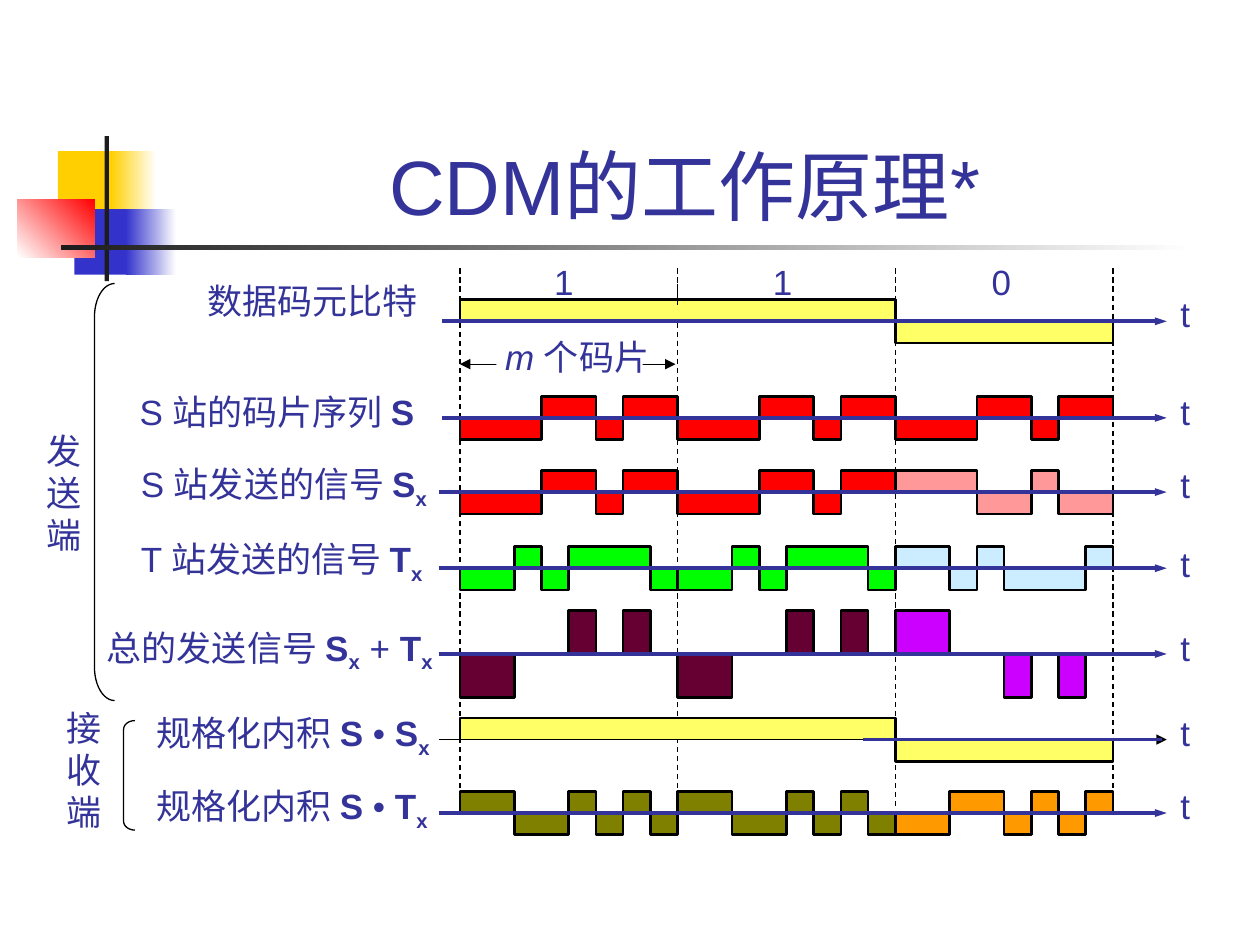
from dataclasses import dataclass
from itertools import groupby

from lxml.etree import SubElement
from pptx import Presentation
from pptx.dml.color import RGBColor as RGB
from pptx.enum.dml import MSO_LINE as Dash
from pptx.enum.shapes import MSO_CONNECTOR as Link, MSO_SHAPE as Shape
from pptx.enum.text import MSO_ANCHOR as Anchor, MSO_AUTO_SIZE as Fit, PP_ALIGN as Align
from pptx.oxml.ns import qn
from pptx.util import Pt


@dataclass(frozen=True)
class Theme:
    ink: str = "333399"
    black: str = "000000"
    white: str = "FFFFFF"
    dark: str = "1C1C1C"
    gold: str = "FFCF01"
    blue: str = "3333CC"
    red: str = "FF0000"
    pink: str = "FF9999"
    green: str = "00FF00"
    sky: str = "CCECFF"
    plum: str = "660033"
    violet: str = "CC00FF"
    olive: str = "808000"
    orange: str = "FF9900"
    yellow: str = "FFFF66"
    latin: str = "Arial"
    cjk: str = "Times New Roman"
    title: int = 44
    body: int = 20
    thin: float = 0.75
    edge: float = 1.5
    thick: float = 2.25


T = Theme()

TITLE = "CDM的工作原理* "
BITS = [1, 1, 0]
S_CHIPS = [-1, -1, -1, 1, 1, -1, 1, 1]
T_CHIPS = [-1, -1, 1, -1, 1, 1, 1, -1]
SUM_CHIPS = [s + t for s, t in zip(S_CHIPS, T_CHIPS)]
PRODUCT_CHIPS = [s * t for s, t in zip(S_CHIPS, T_CHIPS)]
SIGNS = [1 if bit else -1 for bit in BITS]
DATA_LEVELS = [sign for sign in SIGNS for _ in S_CHIPS]


def keyed(chips, colors):
    return [(i, [SIGNS[i] * chip for chip in chips], color) for i, color in enumerate(colors)]


DATA_WAVE = [(0, DATA_LEVELS, T.yellow)]
ROWS = [
    dict(label=[("数据码元比特", "c")], at=(111.6, 156.2, 140, 31.7), t_top=163.4,
         axis=183.6, start=252.7, waves=DATA_WAVE),
    dict(label=[("S ", ""), ("站的码片序列 ", "c"), ("S", "b")], at=(72.7, 223.2, 186, 28.1),
         spacing=0.85, t_top=219.6, axis=238.8, start=252.7,
         waves=[(i, S_CHIPS, T.red) for i in range(len(BITS))]),
    dict(label=[("S ", ""), ("站发送的信号 ", "c"), ("S", "b"), ("x", "bx")],
         at=(73.4, 260.6, 193, 34.6), t_top=261.4, axis=281.2, start=250.6,
         waves=keyed(S_CHIPS, [T.red, T.red, T.pink])),
    dict(label=[("T ", ""), ("站发送的信号 ", "c"), ("T", "b"), ("x", "bx")],
         at=(73.4, 303.8, 190, 34.6), t_top=306.7, axis=324.7, start=250.6,
         waves=keyed(T_CHIPS, [T.green, T.green, T.sky])),
    dict(label=[("总的发送信号 ", "c"), ("S", "b"), ("x", "bx"), (" + ", ""), ("T", "b"), ("x", "bx")],
         at=(54, 354.2, 210, 34.6), t_top=354.2, axis=373.7, start=250.6,
         waves=keyed(SUM_CHIPS, [T.plum, T.plum, T.violet])),
    dict(label=[("规格化内积 ", "c"), ("S ", "b"), ("• ", ""), ("S", "b"), ("x", "bx")],
         at=(82.4, 403.2, 180, 34.6), t_top=403.2, axis=422.6, start=250.6,
         axis_line=(T.black, T.thin), waves=DATA_WAVE),
    dict(label=[("规格化内积 ", "c"), ("S ", "b"), ("• ", ""), ("T", "b"), ("x", "bx")],
         at=(82.4, 445, 180, 34.6), t_top=445, axis=464.6, start=250.6,
         waves=keyed(PRODUCT_CHIPS, [T.olive, T.olive, T.orange])),
]
SIDES = [
    dict(word="发送端", at=(19.4, 241.9, 34.6, 79.2), bracket=(54, 162, 11.5, 238.3)),
    dict(word="接收端", at=(31, 400.3, 34.6, 79.2), bracket=(70.6, 411.8, 6.5, 62.6)),
]
ORNAMENTS = [
    ((33.1, 86.4, 34.6, 37.4), [T.gold], 0),
    ((63.4, 86.4, 25.9, 37.4), [T.gold, T.white], 0),
    ((42.5, 119.5, 33.1, 37.4), [T.blue], 0),
    ((72, 119.5, 28.8, 37.4), [T.blue, T.white], 0),
    ((10.1, 113.8, 43.9, 33.1), [T.white, T.red], 45),
    ((59.8, 77.8, 2.4, 82.8), [T.dark], 0),
    ((34.6, 140.2, 648, 2.5), [T.dark, T.white], 0),
]

LEFT, BIT_WIDTH, LEVEL = 262.8, 124.4, 12.4
CHIP = BIT_WIDTH / len(S_CHIPS)
AXIS_END, DASH_TOP = 666.7, 153.4
DASH_ENDS = [452.2, 450.7, 462.2, 451.4]

deck = Presentation()
deck.slide_width, deck.slide_height = Pt(720), Pt(540)
shapes = deck.slides.add_slide(deck.slide_layouts[6]).shapes


def points(values):
    return [Pt(value) for value in values]


def write(paragraphs, at, size=T.body, align=Align.LEFT, anchor=Anchor.TOP, wrap=False, spacing=None):
    frame = shapes.add_textbox(*points(at)).text_frame
    frame.word_wrap, frame.vertical_anchor = wrap, anchor
    frame.auto_size = Fit.NONE if wrap else Fit.SHAPE_TO_FIT_TEXT
    for i, runs in enumerate(paragraphs):
        paragraph = frame.add_paragraph() if i else frame.paragraphs[0]
        paragraph.alignment, paragraph.line_spacing = align, spacing
        for words, style in runs:
            run = paragraph.add_run()
            run.text = words
            font = run.font
            font.name = T.cjk if "c" in style else T.latin
            font.size, font.color.rgb = Pt(size), RGB.from_string(T.ink)
            font.bold, font.italic = "b" in style, "i" in style
            if "x" in style:
                run._r.get_or_add_rPr().set("baseline", "-25000")


def rule(start, end, color=T.black, width=T.thin, dash=None, **arrows):
    link = shapes.add_connector(Link.STRAIGHT, *points(start + end))
    line = link.line
    line.color.rgb, line.width, line.dash_style = RGB.from_string(color), Pt(width), dash
    outline = line._get_or_add_ln()
    for end_name in ("headEnd", "tailEnd"):
        if end_name in arrows:
            SubElement(outline, qn(f"a:{end_name}"), type="triangle", w=arrows[end_name], len="med")
    SubElement(link._element.spPr, qn("a:effectLst"))


def block(at, colors, angle=0):
    shape = shapes.add_shape(Shape.RECTANGLE, *points(at))
    shape.shadow.inherit = False
    shape.line.fill.background()
    if len(colors) == 1:
        shape.fill.solid()
        shape.fill.fore_color.rgb = RGB.from_string(colors[0])
        return
    shape.fill.gradient()
    shape.fill.gradient_angle = angle
    for stop, color in zip(shape.fill.gradient_stops, colors):
        stop.color.rgb = RGB.from_string(color)


def wave(axis, first_bit, levels, color):
    x = LEFT + first_bit * BIT_WIDTH
    builder = shapes.build_freeform(Pt(x), Pt(axis))
    corners = []
    for level, run in groupby(levels):
        y = axis - level * LEVEL
        corners.append((Pt(x), Pt(y)))
        x += len(list(run)) * CHIP
        corners.append((Pt(x), Pt(y)))
    builder.add_line_segments(corners + [(Pt(x), Pt(axis))], close=False)
    shape = builder.convert_to_shape()
    shape.shadow.inherit = False
    shape.fill.solid()
    shape.fill.fore_color.rgb = RGB.from_string(color)
    shape.line.color.rgb, shape.line.width = RGB.from_string(T.black), Pt(T.edge)


def bracket(at):
    shape = shapes.add_shape(Shape.LEFT_BRACKET, *points(at))
    shape.shadow.inherit = False
    shape.adjustments[0] = min(1.7, 0.08 * at[3] / at[2])
    shape.fill.background()
    shape.line.color.rgb, shape.line.width = RGB.from_string(T.black), Pt(T.thin)


for at, colors, angle in ORNAMENTS:
    block(at, colors, angle)
write([[(TITLE, "")]], (90.7, 20.2, 613.4, 115.2), size=T.title,
      align=Align.CENTER, anchor=Anchor.BOTTOM, wrap=True)

for i, bottom in enumerate(DASH_ENDS):
    x = LEFT + i * BIT_WIDTH
    rule((x, DASH_TOP), (x, bottom), dash=Dash.DASH)

rule((LEFT, 208.1), (LEFT + BIT_WIDTH - 1.2, 208.1), headEnd="med", tailEnd="med")
block((283.7, 195.8, 83.5, 21.6), [T.white])
write([[("m ", "i"), ("个码片", "c")]], (281.5, 187.9, 101.5, 31.7))

for row in ROWS:
    for first_bit, levels, color in row["waves"]:
        wave(row["axis"], first_bit, levels, color)
    color, width = row.get("axis_line", (T.ink, T.thick))
    rule((row["start"], row["axis"]), (AXIS_END, row["axis"]), color, width,
         tailEnd="sm" if width == T.thick else "med")
    write([row["label"]], row["at"], wrap=True, spacing=row.get("spacing"))
    write([[("t", "")]], (667.4, row["t_top"], 19.4, 31.7))

rule((493.2, 422.6), (663.8, 422.6), T.ink, T.thick)
rule((LEFT + BIT_WIDTH, 162), (LEFT + BIT_WIDTH, 174.2))
for i, bit in enumerate(BITS):
    write([[(str(bit), "")]], (309.6 + i * 125, 145.4, 25.2, 31.7))

for side in SIDES:
    write([[(character, "c")] for character in side["word"]], side["at"])
    bracket(side["bracket"])

deck.save("out.pptx")
